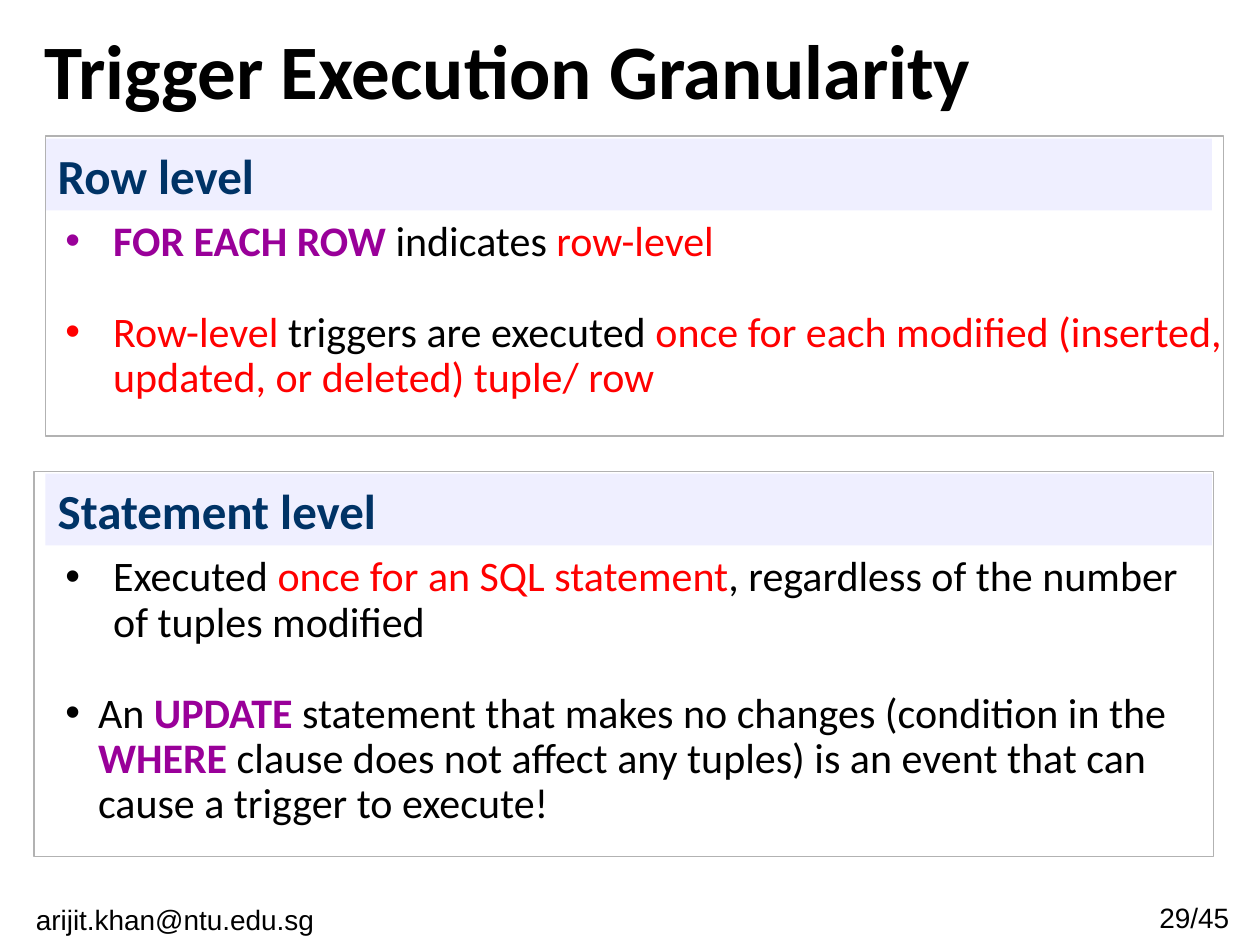
from dataclasses import dataclass

from pptx import Presentation
from pptx import util as u
from pptx.dml.color import RGBColor
from pptx.enum import shapes, text
from pptx.oxml.ns import qn
from lxml import etree

BLACK, RED, PURPLE, NAVY = "000000", "FF0000", "990099", "003366"
PALE, GRAY = "EFEFFF", "B2B2B2"


@dataclass
class Run:
    text: str
    hue: str = BLACK
    bold: bool = False


@dataclass
class Point:
    runs: list[Run]
    indent: float = 0.38


@dataclass
class Panel:
    head: str
    top: float
    frame: tuple[float, float, float]  # left, width, height
    body: tuple[float, float]  # width, height
    points: list[Point]


def color(code: str) -> RGBColor:
    return RGBColor.from_string(code)


def style(font, hue: str = BLACK, **values) -> None:
    for name, value in values.items():
        setattr(font, name, value)
    font.color.rgb = color(hue)


def place(item, box) -> None:
    for name, value in zip(("left", "top", "width", "height"), box):
        setattr(item, name, u.Inches(value))


def add_box(slide, box, fill: str = "", line: str = ""):
    shape = slide.shapes.add_shape(shapes.MSO_SHAPE.RECTANGLE, *map(u.Inches, box))
    shape.shadow.inherit = False
    if fill:
        shape.fill.solid()
        shape.fill.fore_color.rgb = color(fill)
    else:
        shape.fill.background()
    if line:
        shape.line.color.rgb = color(line)
        shape.line.width = u.Pt(0.75)
    else:
        shape.line.fill.background()
    return shape


def add_text(slide, box):
    frame = slide.shapes.add_textbox(*map(u.Inches, box)).text_frame
    frame.word_wrap = True
    return frame


def add_bullet(para, indent: float) -> None:
    props = para._p.get_or_add_pPr()
    props.set("marL", str(u.Inches(indent)))
    props.set("indent", str(-u.Inches(indent)))
    etree.SubElement(props, qn("a:buFont")).set("typeface", "Arial")
    etree.SubElement(props, qn("a:buChar")).set("char", "•")


def add_panel(slide, panel: Panel) -> None:
    # Heading band
    band = add_box(slide, (0.36, panel.top + 0.02, 9.26, 0.57), fill=PALE)
    para = band.text_frame.paragraphs[0]
    para.alignment = text.PP_ALIGN.LEFT
    run = para.add_run()
    run.text = panel.head
    style(run.font, NAVY, name="Calibri", size=u.Pt(28), bold=True)

    # Outline
    left, width, height = panel.frame
    add_box(slide, (left, panel.top, width, height), line=GRAY)

    # Bullet points
    frame = add_text(slide, (0.42, panel.top + 0.62, *panel.body))
    for i, point in enumerate(panel.points):
        para = frame.add_paragraph() if i else frame.paragraphs[0]
        para.line_spacing = 0.9
        if i:
            para.space_before = u.Pt(26)
        add_bullet(para, point.indent)
        for part in point.runs:
            run = para.add_run()
            run.text = part.text
            style(run.font, part.hue, name="Calibri", size=u.Pt(24), bold=part.bold)


def add_foot(slide, words: str, box) -> None:
    para = add_text(slide, box).paragraphs[0]
    para.alignment = text.PP_ALIGN.CENTER
    run = para.add_run()
    run.text = words
    style(run.font, name="Arial", size=u.Pt(16))


PANELS = [
    Panel("Row level", 1.08, (0.36, 9.35, 2.38), (9.43, 1.56), [
        Point([Run("FOR EACH ROW ", PURPLE, True), Run("indicates "),
               Run("row-level", RED)]),
        Point([Run("Row-level ", RED), Run("triggers are executed "),
               Run("once for each modified (inserted, updated, or deleted) "
                   "tuple/ row", RED)]),
    ]),
    Panel("Statement level", 3.74, (0.27, 9.36, 3.06), (9.07, 2.28), [
        Point([Run("Executed "), Run("once for an SQL statement", RED),
               Run(", regardless of the number of tuples modified")]),
        Point([Run("An "), Run("UPDATE", PURPLE, True),
               Run(" statement that makes no changes (condition in the "),
               Run("WHERE ", PURPLE, True),
               Run("clause does not affect any tuples) is an event that can "
                   "cause a trigger to execute!")], indent=0.26),
    ]),
]


def main() -> None:
    deck = Presentation()
    deck.slide_width, deck.slide_height = u.Inches(10), u.Inches(7.5)
    slide = deck.slides.add_slide(deck.slide_layouts[5])

    # Title
    title = slide.shapes.title
    place(title, (0.25, 0.17, 9, 0.75))
    title.text_frame.text = "Trigger Execution Granularity"
    title.text_frame.vertical_anchor = text.MSO_ANCHOR.MIDDLE
    para = title.text_frame.paragraphs[0]
    para.alignment = text.PP_ALIGN.LEFT
    style(para.runs[0].font, name="Calibri", size=u.Pt(44), bold=True)

    # Footer; the trailing space shifts the centred words
    add_foot(slide, "29/45 ", (8.93, 7.1, 1.16, 0.39))
    add_foot(slide, "arijit.khan@ntu.edu.sg ", (0.08, 7.11, 2.68, 0.39))

    for panel in PANELS:
        add_panel(slide, panel)
    deck.save("out.pptx")


if __name__ == "__main__":
    main()
